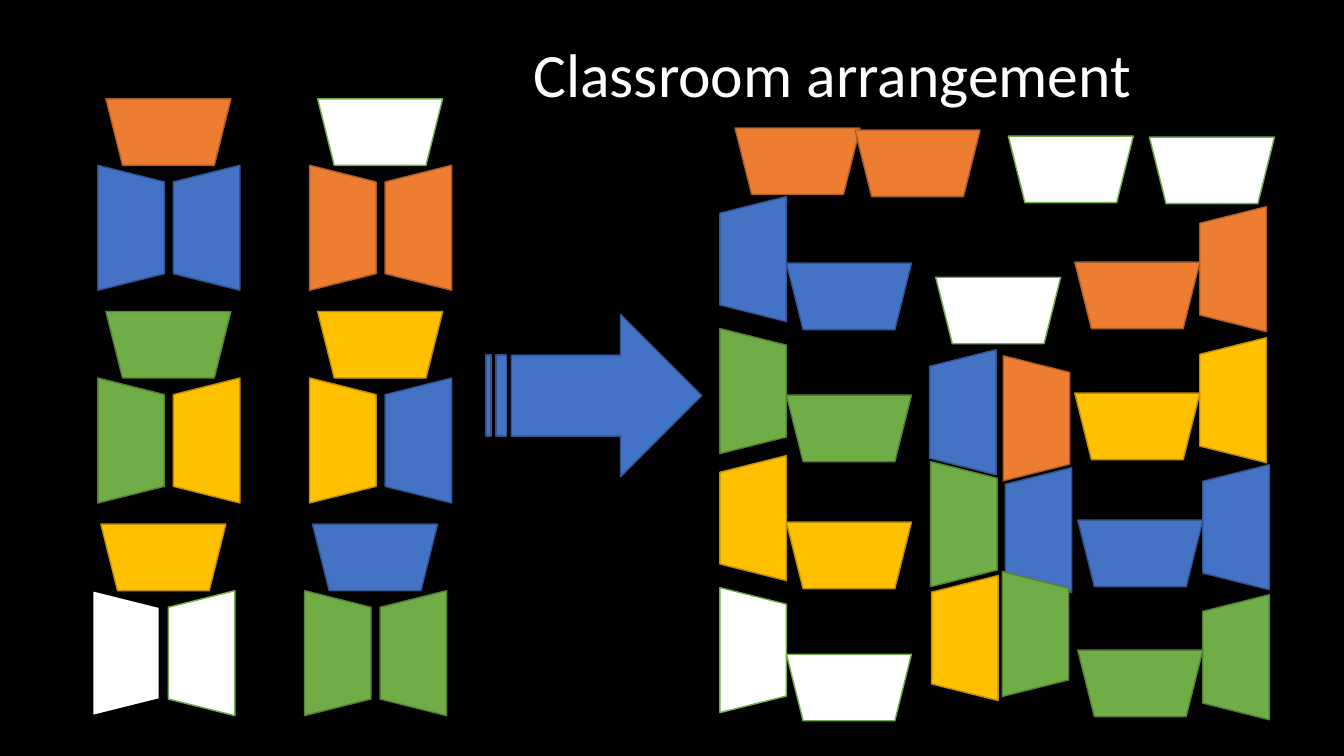
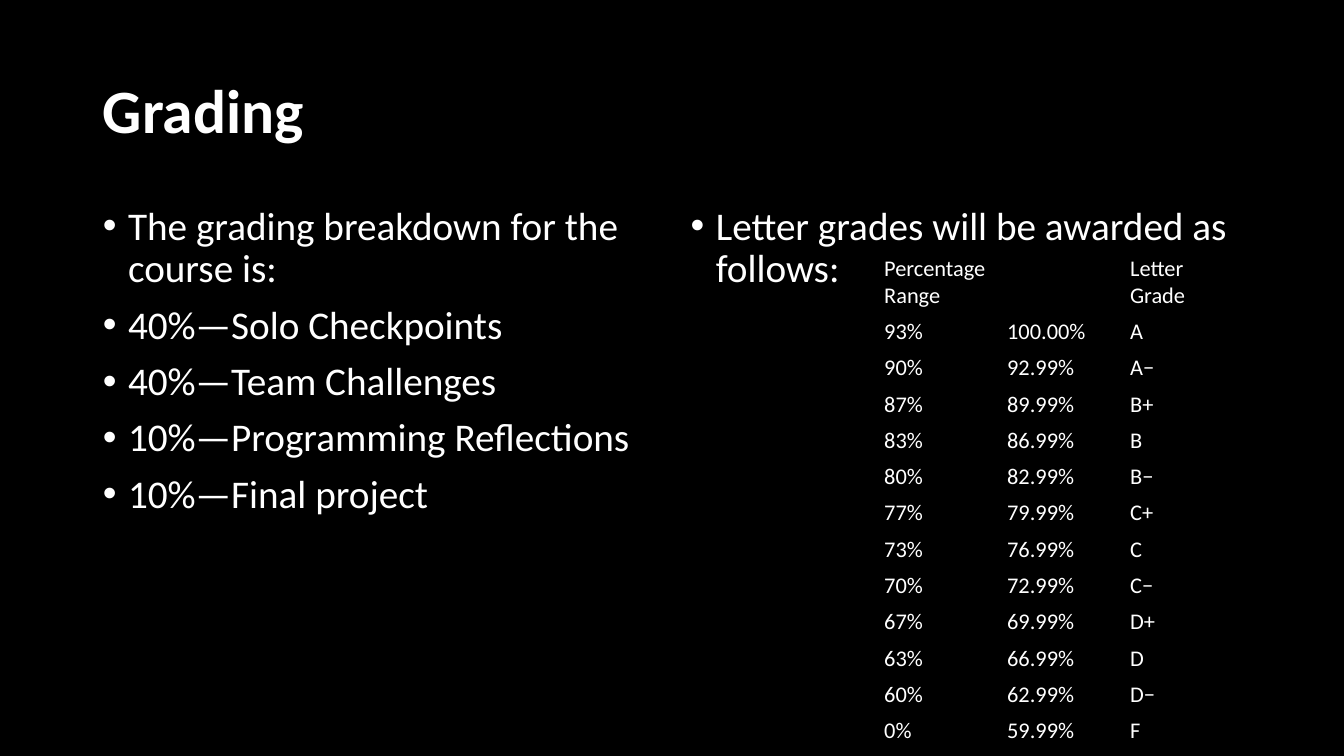
from pptx import Presentation
from pptx import util as u
from pptx.dml.color import RGBColor
from pptx.enum import shapes, text
from pptx.oxml.ns import qn

FONT = "Calibri"
BLACK, WHITE = "000000", "FFFFFF"
NO_GRID_STYLE = "{2D5ABB26-0587-4C30-8999-92F81FD0307C}"
DESK_SIZE = (1.24, 0.66)
FACING_RIGHT, FACING_DOWN, FACING_LEFT = 90, 180, 270
TEAMS = {
    "orange": ("ED7D31", "AF5C24"),
    "blue": ("4472C4", "325491"),
    "green": ("70AD47", "538035"),
    "yellow": ("FFC000", "BD8E00"),
    "white": (WHITE, "70AD47"),
    "plain white": (WHITE, BLACK),
}
CLUSTERS = [
    [("orange", "blue", "blue"), ("white", "orange", "orange")],
    [("green", "green", "yellow"), ("yellow", "yellow", "blue")],
    [("yellow", "plain white", "white"), ("blue", "green", "green")],
]
LEFT_WALL = [
    ("white", 6.12, FACING_RIGHT),
    ("yellow", 4.81, FACING_LEFT),
    ("green", 3.55, FACING_RIGHT),
    ("blue", 2.24, FACING_LEFT),
]
RIGHT_WALL = [
    ("green", 11.64, 6.19),
    ("blue", 11.64, 4.9),
    ("yellow", 11.61, 3.64),
    ("orange", 11.61, 2.34),
]
FRONT_ROW = [
    ("orange", 7.29, 1.27),
    ("orange", 8.48, 1.29),
    ("white", 11.4, 1.36),
    ("white", 10, 1.35),
]
MIDDLE = [
    ("blue", 8.93, 3.76, FACING_LEFT),
    ("green", 8.94, 4.87, FACING_RIGHT),
    ("yellow", 8.95, 6, FACING_LEFT),
    ("orange", 9.66, 3.82, FACING_RIGHT),
    ("blue", 9.68, 4.93, FACING_LEFT),
    ("green", 9.65, 5.96, FACING_RIGHT),
    ("white", 9.28, 2.75, FACING_DOWN),
]
BREAKDOWN = [
    "The grading breakdown for the course is:",
    "40%—Solo Checkpoints",
    "40%—Team Challenges",
    "10%—Programming Reflections",
    "10%—Final project",
]
GRADES = [
    ("Percentage\vRange", "", "Letter\vGrade"),
    ("93%", "100.00%", "A"),
    ("90%", "92.99%", "A−"),
    ("87%", "89.99%", "B+"),
    ("83%", "86.99%", "B"),
    ("80%", "82.99%", "B−"),
    ("77%", "79.99%", "C+"),
    ("73%", "76.99%", "C"),
    ("70%", "72.99%", "C−"),
    ("67%", "69.99%", "D+"),
    ("63%", "66.99%", "D"),
    ("60%", "62.99%", "D−"),
    ("0%", "59.99%", "F"),
]


def color(value):
    return RGBColor.from_string(value)


def place(shape, left, top, width, height):
    shape.left, shape.top = u.Inches(left), u.Inches(top)
    shape.width, shape.height = u.Inches(width), u.Inches(height)


def format_text(frame, size, bold=False, line_spacing=1.0):
    for paragraph in frame.paragraphs:
        paragraph.alignment = text.PP_ALIGN.LEFT
        paragraph.line_spacing = line_spacing
        for run in paragraph.runs:
            run.font.name = FONT
            run.font.size = u.Pt(size)
            run.font.bold = bold
            run.font.color.rgb = color(WHITE)


def set_title(slide, wording, box, bold=False):
    title = slide.shapes.title
    place(title, *box)
    frame = title.text_frame
    frame.text = wording
    frame.auto_size = text.MSO_AUTO_SIZE.NONE
    frame.vertical_anchor = text.MSO_ANCHOR.MIDDLE
    format_text(frame, 44, bold, 0.9)


def set_bullets(placeholder, items, box):
    place(placeholder, *box)
    frame = placeholder.text_frame
    frame.text = "\n".join(items)
    frame.auto_size = text.MSO_AUTO_SIZE.NONE
    format_text(frame, 28, line_spacing=0.9)
    for paragraph in frame.paragraphs:
        paragraph.space_before = u.Pt(10)
        properties = paragraph._p.get_or_add_pPr()
        properties.set("marL", str(u.Inches(0.25)))
        properties.set("indent", str(-u.Inches(0.25)))


def add_figure(slide, kind, team, box, rotation=0):
    shape = slide.shapes.add_shape(kind, *map(u.Inches, box))
    fill, line = TEAMS[team]
    shape.fill.solid()
    shape.fill.fore_color.rgb = color(fill)
    shape.line.color.rgb = color(line)
    shape.line.width = u.Pt(1)
    shape.shadow.inherit = False
    shape.rotation = rotation


def add_desk(slide, team, left, top, rotation):
    kind = shapes.MSO_SHAPE.TRAPEZOID
    add_figure(slide, kind, team, (left, top, *DESK_SIZE), rotation)


def add_cluster(slide, teams, left, top):
    front, left_side, right_side = teams
    add_desk(slide, left_side, left - 0.37, top + 0.95, FACING_RIGHT)
    add_desk(slide, right_side, left + 0.38, top + 0.95, FACING_LEFT)
    add_desk(slide, front, left, top, FACING_DOWN)


def add_grade_table(slide, rows):
    width, header_height, row_height = 1.22, 0.62, 0.36
    frame = slide.shapes.add_table(
        len(rows), 3, u.Inches(8.68), u.Inches(2.49), u.Inches(3 * width),
        u.Inches(header_height + row_height * (len(rows) - 1)))
    table = frame.table
    table.first_row = table.horz_banding = False
    table._tbl.tblPr.find(qn("a:tableStyleId")).text = NO_GRID_STYLE
    for column in table.columns:
        column.width = u.Inches(width)
    for index, row in enumerate(table.rows):
        row.height = u.Inches(row_height if index else header_height)
        for cell, wording in zip(row.cells, rows[index]):
            cell.text = wording
            cell.fill.background()
            cell.vertical_anchor = text.MSO_ANCHOR.MIDDLE
            cell.margin_left = cell.margin_right = u.Inches(0.09)
            cell.margin_top = cell.margin_bottom = u.Inches(0.04)
            format_text(cell.text_frame, 16)
    table.cell(0, 0).merge(table.cell(0, 1))


def build_classroom(presentation):
    slide = presentation.slides.add_slide(presentation.slide_layouts[5])
    set_title(slide, "Classroom arrangement", (5.19, 0.04, 6.23, 1.45))
    for row, clusters in enumerate(CLUSTERS):
        shift = 0.05 if row == 2 else 0
        for column, teams in enumerate(clusters):
            add_cluster(slide, teams, 1.05 + 2.1 * column - shift, 0.98 + 2.11 * row)
    for team, top, rotation in LEFT_WALL:
        add_desk(slide, team, 6.85, top, rotation)
        add_desk(slide, team, 7.8, top + 0.37, FACING_DOWN)
    for team, left, top in RIGHT_WALL:
        add_desk(slide, team, left, top, FACING_LEFT)
        add_desk(slide, team, left - 0.95, top + 0.26, FACING_DOWN)
    for team, left, top in FRONT_ROW:
        add_desk(slide, team, left, top, FACING_DOWN)
    arrow = shapes.MSO_SHAPE.STRIPED_RIGHT_ARROW
    add_figure(slide, arrow, "blue", (4.82, 3.12, 2.14, 1.61))
    for desk in MIDDLE:
        add_desk(slide, *desk)


def build_grading(presentation):
    slide = presentation.slides.add_slide(presentation.slide_layouts[3])
    set_title(slide, "Grading", (0.92, 0.4, 11.5, 1.45), bold=True)
    set_bullets(slide.placeholders[1], BREAKDOWN, (0.92, 2, 5.67, 4.76))
    set_bullets(slide.placeholders[2], ["Letter grades will be awarded as follows:"],
                (6.75, 2, 5.67, 4.76))
    add_grade_table(slide, GRADES)


def main():
    presentation = Presentation()
    presentation.slide_width = u.Inches(13.33)
    presentation.slide_height = u.Inches(7.5)
    background = presentation.slide_master.background.fill
    background.solid()
    background.fore_color.rgb = color(BLACK)
    build_classroom(presentation)
    build_grading(presentation)
    presentation.save("out.pptx")


if __name__ == "__main__":
    main()
